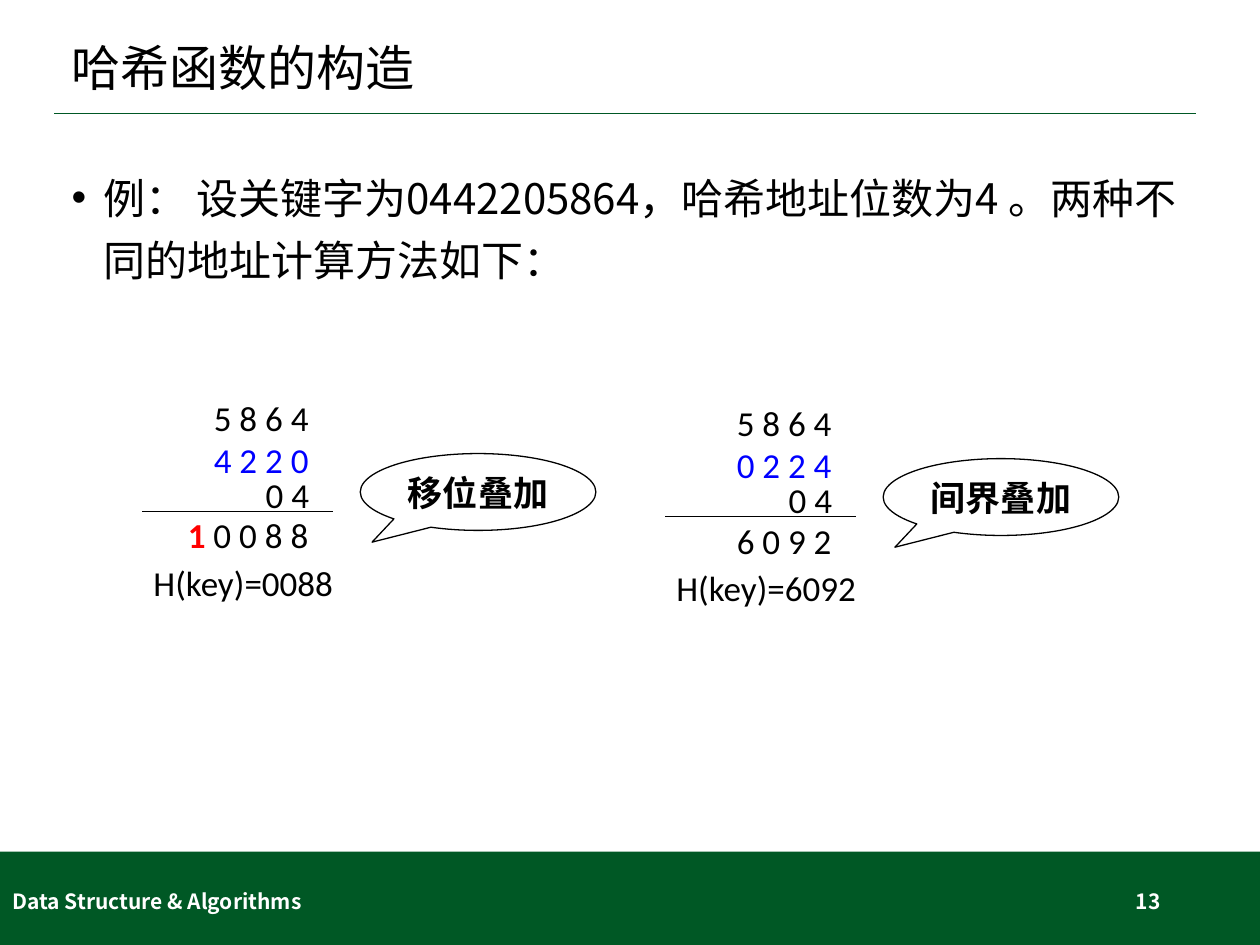
"""Build the slide on folding methods for hash function construction."""
import pptx
import pptx.util
import pptx.dml.color
import pptx.enum.shapes
import pptx.enum.text
import pptx.oxml
import pptx.oxml.ns
from lxml import etree

INCH = pptx.util.Inches
ALIGN = pptx.enum.text.PP_ALIGN
ANCHOR = pptx.enum.text.MSO_ANCHOR
SHAPE = pptx.enum.shapes.MSO_SHAPE
GREEN, BLACK, WHITE, BLUE, RED = "005825", "000000", "FFFFFF", "0000FF", "FF0000"
LATIN, CJK = "Calibri", "Noto Sans CJK SC"

TITLE = "哈希函数的构造"
EXAMPLE = "例： 设关键字为0442205864，哈希地址位数为4 。两种不同的地址计算方法如下："
FOOTERS = [
    ("Data Structure & Algorithms", 0, 3.38, ALIGN.LEFT),
    ("13", 7.06, 2.25, ALIGN.RIGHT),
]
SUMS = [
    {
        "origin": (1.12, 3.1),
        "rows": [[("5 8 6 4", BLACK)], [("4 2 2 0", BLUE)], [("0 4", BLACK)],
                 [("1", RED), (" 0 0 8 8", BLACK)]],
        "address": "H(key)=0088",
        "method": "移位叠加",
    },
    {
        "origin": (5.27, 3.14),
        "rows": [[("5 8 6 4", BLACK)], [("0 2 2 4", BLUE)], [("0 4", BLACK)],
                 [("6 0 9 2", BLACK)]],
        "address": "H(key)=6092",
        "method": "间界叠加",
    },
]
ROW_TOPS = [0, 0.33, 0.61, 0.93]
COLUMN_RIGHT, ROW_HEIGHT = 1.44, 0.44


def color(value):
    return pptx.dml.color.RGBColor.from_string(value)


def write(shape, runs, size, font=LATIN, bold=False, align=ALIGN.LEFT,
          spacing=1.0, bullet=None, **frame_format):
    frame = shape.text_frame
    for name, value in ({"word_wrap": True, "vertical_anchor": ANCHOR.TOP} | frame_format).items():
        setattr(frame, name, value)
    paragraph = frame.paragraphs[0]
    paragraph.alignment, paragraph.line_spacing = align, spacing
    if bullet:
        properties = paragraph._p.get_or_add_pPr()
        properties.set("marL", str(INCH(0.25)))
        properties.set("indent", str(INCH(-0.25)))
        for tag, key, value in (("a:buFont", "typeface", "Arial"), ("a:buChar", "char", bullet)):
            etree.SubElement(properties, pptx.oxml.ns.qn(tag)).set(key, value)
    for text, ink in runs:
        run = paragraph.add_run()
        run.text = text
        style = {"size": pptx.util.Pt(size), "name": font, "bold": bold or ink == RED}
        for name, value in style.items():
            setattr(run.font, name, value)
        run.font.color.rgb = color(ink)
        east_asian = etree.SubElement(run.font._element, pptx.oxml.ns.qn("a:ea"))
        east_asian.set("typeface", CJK)


def add_text(slide, box, runs, size, **options):
    write(slide.shapes.add_textbox(*map(INCH, box)), runs, size, **options)


def add_rule(slide, left, right, y, ink, width):
    rule = slide.shapes.add_connector(
        pptx.enum.shapes.MSO_CONNECTOR.STRAIGHT, *map(INCH, (left, y, right, y)))
    rule.line.color.rgb = color(ink)
    rule.line.width = pptx.util.Pt(width)
    etree.SubElement(rule._element.spPr, pptx.oxml.ns.qn("a:effectLst"))


def add_sum(slide, origin, rows, address, method):
    left, top = origin
    for runs, row_top in zip(rows, ROW_TOPS):
        width = 0.24 + 0.103 * sum(len(text) for text, _ in runs)
        box = (left + COLUMN_RIGHT - width, top + row_top, width, ROW_HEIGHT)
        add_text(slide, box, runs, 20, word_wrap=False)
    add_rule(slide, left + 0.01, left + 1.52, top + 0.96, BLACK, 0.75)
    add_text(slide, (left, top + 1.31, 1.64, ROW_HEIGHT), [(address, BLACK)], 20, word_wrap=False)
    callout = slide.shapes.add_shape(
        SHAPE.OVAL_CALLOUT, *map(INCH, (left + 1.74, top + 0.5, 1.87, 0.61)))
    callout.adjustments[0], callout.adjustments[1] = -0.45, 0.653
    callout.shadow.inherit = False
    callout.fill.background()
    callout.line.color.rgb = color(BLACK)
    callout.line.width = pptx.util.Pt(0.75)
    write(callout, [(method, BLACK)], 20, bold=True, align=ALIGN.CENTER,
          word_wrap=False, vertical_anchor=ANCHOR.MIDDLE)


def main():
    deck = pptx.Presentation()
    deck.slide_width, deck.slide_height = INCH(10), INCH(7.5)
    slide = deck.slides.add_slide(deck.slide_layouts[6])

    band = slide.shapes.add_shape(SHAPE.RECTANGLE, *map(INCH, (0, 6.76, 10, 0.74)))
    band.shadow.inherit = False
    band.fill.solid()
    band.fill.fore_color.rgb = color(GREEN)
    band.line.fill.background()
    add_rule(slide, 0.43, 9.49, 0.9, GREEN, 1)

    add_text(slide, (0.47, 0.23, 9.06, 0.66), [(TITLE, BLACK)], 28,
             spacing=0.9, vertical_anchor=ANCHOR.MIDDLE)
    add_text(slide, (0.47, 1.07, 9.06, 5.54), [(EXAMPLE, BLACK)], 24, font=CJK,
             spacing=1.24, bullet="•", margin_top=INCH(0.2))
    for text, left, width, align in FOOTERS:
        add_text(slide, (left, 6.95, width, 0.4), [(text, WHITE)], 12, font=CJK,
                 bold=True, align=align, vertical_anchor=ANCHOR.MIDDLE)
    for calculation in SUMS:
        add_sum(slide, **calculation)
    deck.save("out.pptx")


if __name__ == "__main__":
    main()
